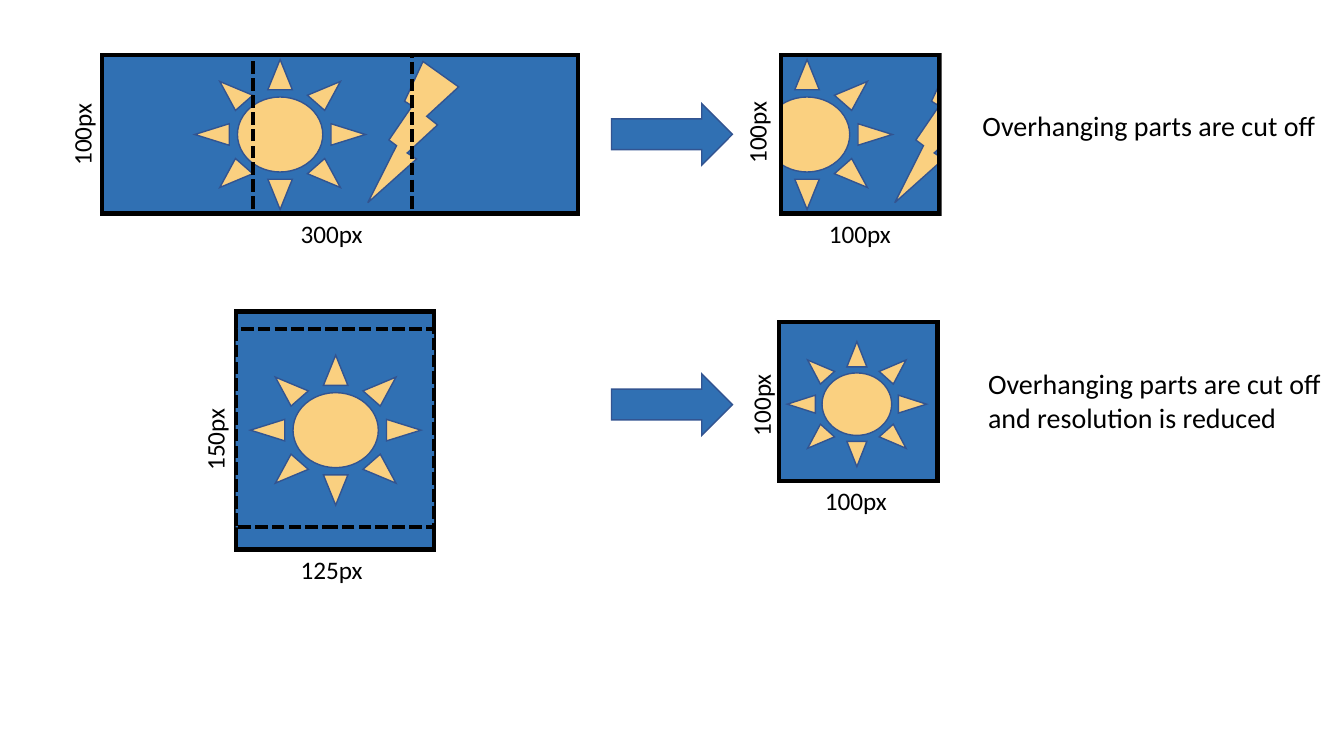
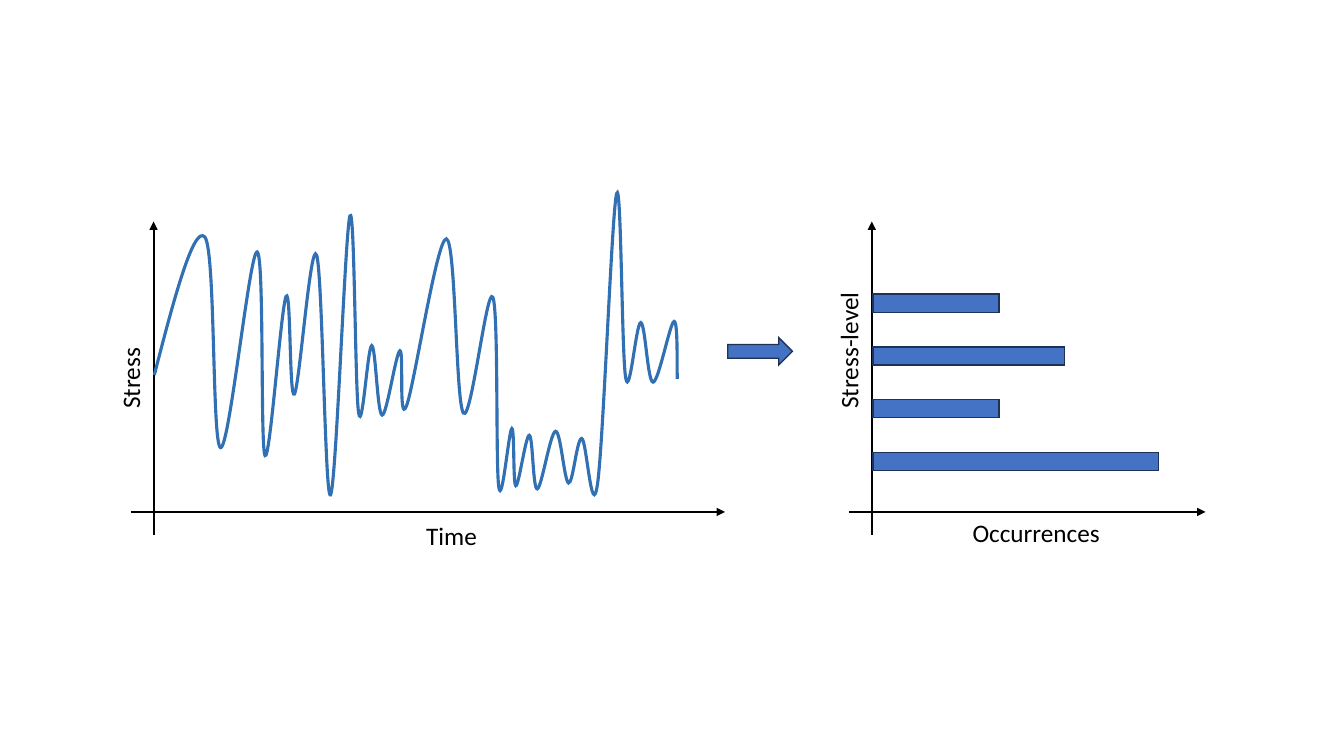
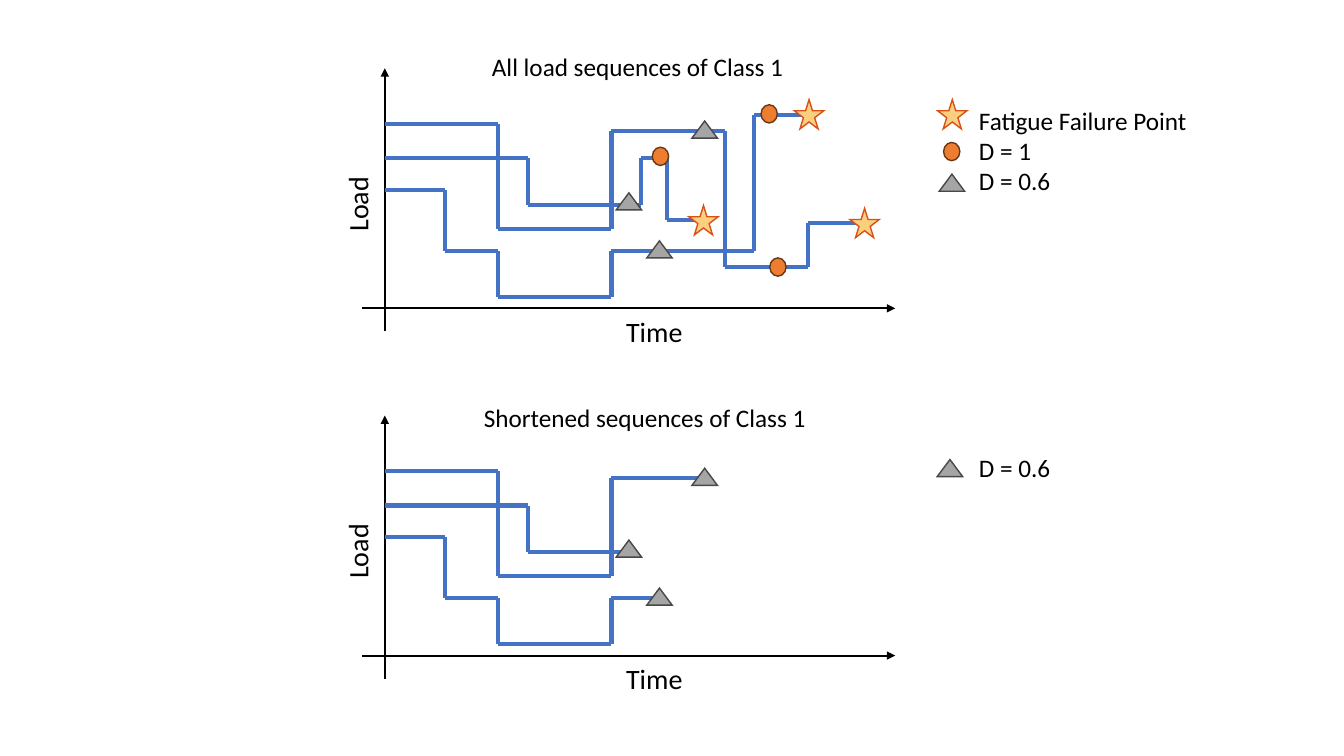
import pptx
import pptx.dml.color
import pptx.enum.dml
import pptx.enum.shapes
import pptx.enum.text
import pptx.oxml.ns
import pptx.util
from lxml import etree

SHAPE = pptx.enum.shapes.MSO_SHAPE
ALIGN = pptx.enum.text.PP_ALIGN
DASHED = pptx.enum.dml.MSO_LINE.SQUARE_DOT

BLACK, WHITE = "000000", "FFFFFF"
BLUE, SERIES_BLUE = "3070B3", "4472C4"

# fill, line colour, line width in points
PANEL = (BLUE, BLACK, 3)
OUTLINE = (None, BLACK, 3)
MASK = (WHITE, None, 0)
SUNLIGHT = ("FAD080", "325491", 1)
CROP_ARROW = (BLUE, "325491", 1)
BAR = (SERIES_BLUE, "1E3256", 1)

# preset, width, height, style
FAILURE = (SHAPE.STAR_5_POINT, 0.74, 0.74, ("FAD080", "D95117", 1))
DAMAGE_FULL = (SHAPE.OVAL, 0.41, 0.46, ("ED7D31", "683715", 1))
DAMAGE_PART = (SHAPE.ISOSCELES_TRIANGLE, 0.64, 0.43, ("A5A5A5", "484848", 1))

AXIS_OVERSHOOT = 0.58
LABEL_H = 1.02

STRESS_TURNS = [
    (3.89, 9.45), (5.16, 5.97), (5.56, 11.28), (6.48, 6.35), (6.68, 11.48),
    (7.21, 7.47), (7.42, 9.93), (7.98, 6.43), (8.33, 12.47), (8.82, 5.44),
    (9.04, 10.41), (9.37, 8.71), (9.63, 10.46), (10.08, 8.84), (10.24, 10.24),
    (11.25, 6.02), (11.68, 10.41), (12.42, 7.49), (12.57, 12.27), (12.9, 10.8),
    (13, 12.24), (13.34, 10.97), (13.54, 12.32), (14, 10.87), (14.33, 12.17),
    (14.66, 11.05), (15.06, 12.19), (15.54, 4.88), (15.77, 9.53),
    (16.15, 8.13), (16.46, 9.63), (16.99, 8.1), (17.07, 9.55),
]
STRESS_LEAD_IN = (2.26, 17.25)

# Each load level is held until the end time beside it.
LOAD_SEQUENCES = [
    [(3.12, 12.55), (5.77, 15.41), (3.3, 18.27), (6.73, 20.37), (5.61, 21.82)],
    [(3.99, 13.31), (5.16, 16.15), (3.99, 16.81), (5.54, 17.68)],
    [(4.78, 11.22), (6.32, 12.55), (7.48, 15.41), (6.32, 19.01), (2.9, 20.32)],
]
SHORTENED_ENDS = [17.77, 15.86, 16.62]
DAMAGE_PART_SPOTS = [(17.44, 3.05), (15.53, 4.86), (16.3, 6.07)]


def cm(*values):
    return [pptx.util.Cm(v) for v in values]


def rgb(color):
    return pptx.dml.color.RGBColor.from_string(color)


def tag(name):
    return pptx.oxml.ns.qn(name)


def set_line(sp, color, width, dash=None):
    if color is None:
        sp.line.fill.background()
        return
    sp.line.color.rgb = rgb(color)
    for name, value in {"width": pptx.util.Pt(width), "dash_style": dash}.items():
        setattr(sp.line, name, value)
    etree.SubElement(sp.element.spPr.find(tag("a:ln")), tag("a:miter"), lim="800000")


def style_shape(sp, style, dash=None):
    fill, color, width = style
    sp.shadow.inherit = False
    if fill is None:
        sp.fill.background()
    else:
        sp.fill.solid()
        sp.fill.fore_color.rgb = rgb(fill)
    set_line(sp, color, width, dash)


def add_preset(s, kind, x, y, w, h, style, dash=None):
    sp = s.shapes.add_shape(kind, *cm(x, y, w, h))
    style_shape(sp, style, dash)
    return sp


def add_marker(s, marker, x, y):
    kind, w, h, style = marker
    add_preset(s, kind, x, y, w, h, style)


def add_text(s, lines, x, y, w, h=LABEL_H, size=18, wrap=True, align=None, rotation=0):
    sp = s.shapes.add_textbox(*cm(x, y, w, h))
    sp.rotation = rotation
    tf = sp.text_frame
    tf.word_wrap = wrap
    tf.auto_size = pptx.enum.text.MSO_AUTO_SIZE.SHAPE_TO_FIT_TEXT
    for i, text in enumerate(lines):
        p = tf.add_paragraph() if i else tf.paragraphs[0]
        p.alignment = align
        r = p.add_run()
        r.text = text
        for name, value in {"name": "Calibri", "size": pptx.util.Pt(size)}.items():
            setattr(r.font, name, value)
        r.font.color.rgb = rgb(BLACK)


def add_line(s, x1, y1, x2, y2, color, width, arrow=False):
    c = s.shapes.add_connector(
        pptx.enum.shapes.MSO_CONNECTOR.STRAIGHT, *cm(x1, y1, x2, y2))
    set_line(c, color, width)
    spPr = c.element.spPr
    if arrow:
        etree.SubElement(spPr.find(tag("a:ln")), tag("a:tailEnd"), type="triangle")
    etree.SubElement(spPr, tag("a:effectLst"))


def add_axes(s, x, y, top, right):
    """Draw two arrows that cross at x, y."""
    add_line(s, x, y + AXIS_OVERSHOOT, x, top, BLACK, 1.5, arrow=True)
    add_line(s, x - AXIS_OVERSHOOT, y, right, y, BLACK, 1.5, arrow=True)


def add_curve(s, turns, lead_in, color, width):
    """Draw a Catmull-Rom curve, one Bezier segment between two turns."""
    points = [tuple(cm(*point)) for point in turns]
    builder = s.shapes.build_freeform(*points[0])
    builder.add_line_segments(points[1:], close=False)
    sp = builder.convert_to_shape()
    style_shape(sp, (None, color, width))

    padded = [tuple(cm(*lead_in)), *points, points[-1]]
    segments = list(sp.element.iter(tag("a:lnTo")))
    for segment, a, b, c, d in zip(segments, padded, padded[1:], padded[2:], padded[3:]):
        leave = [q + (r - p) / 6 for p, q, r in zip(a, b, c)]
        arrive = [q - (r - p) / 6 for p, q, r in zip(b, c, d)]
        bezier = etree.Element(tag("a:cubicBezTo"))
        for x, y in (leave, arrive, c):
            etree.SubElement(bezier, tag("a:pt"),
                             x=str(round(x - sp.left)), y=str(round(y - sp.top)))
        segment.getparent().replace(segment, bezier)


def add_load_steps(s, x, sequence, dy=0, stop=None):
    """Draw a stepped load history, ended early at stop if one is given."""
    previous = None
    for level, end in sequence:
        y = level + dy
        if previous is not None:
            add_line(s, x, previous, x, y, SERIES_BLUE, 3)
        last = stop is not None and end >= stop
        if last:
            end = stop
        add_line(s, x, y, end, y, SERIES_BLUE, 3)
        if last:
            return
        x, previous = end, y


def add_sun(s, x, y, w=4.3, h=3.78):
    add_preset(s, SHAPE.SUN, x, y, w, h, SUNLIGHT)


def add_sun_and_bolt(s, x):
    add_sun(s, x, 1.5)
    bolt = add_preset(s, SHAPE.LIGHTNING_BOLT, x + 4.36, 1.55, 2.29, 3.56, SUNLIGHT)
    bolt.element.spPr.find(tag("a:xfrm")).set("flipH", "1")


def build_cropping(s):
    side, top = 4, 1.38
    rect = SHAPE.RECTANGLE
    # Wide image and its crop
    add_preset(s, rect, 2.57, top, 12, side, PANEL)
    add_sun_and_bolt(s, 4.91)
    add_preset(s, rect, 6.38, top, side, side, OUTLINE, DASHED)
    add_preset(s, rect, 19.68, top, side, side, PANEL)
    add_sun_and_bolt(s, 18.19)
    add_preset(s, rect, 19.68, top, side, side, OUTLINE)
    for x in (17.62, 23.73):
        add_preset(s, rect, x, 0.76, 2.01, 5.05, MASK)
    # Tall image and its reduced crop
    add_preset(s, rect, 5.94, 7.85, 5, 6, PANEL)
    add_preset(s, rect, 5.94, 8.29, 5, 5, PANEL, DASHED)
    add_sun(s, 6.31, 8.95)
    add_preset(s, rect, 19.63, 8.12, side, side, PANEL)
    add_sun(s, 19.84, 8.61, 3.51, 3.15)

    for y in (2.61, 9.42):
        add_preset(s, SHAPE.RIGHT_ARROW, 15.41, y, 3.05, 1.55, CROP_ARROW)
    for text, x, y, rotation in [
        ("300px", 7.33, 5.38, 0), ("100px", 1.02, 2.87, 270),
        ("100px", 20.64, 5.38, 0), ("100px", 18.03, 2.82, 270),
        ("125px", 7.33, 13.84, 0), ("150px", 4.37, 10.56, 270),
        ("100px", 20.54, 12.11, 0), ("100px", 18.14, 9.69, 270),
    ]:
        add_text(s, [text], x, y, 2.08, wrap=False, rotation=rotation)
    cut = "Overhanging parts are cut off"
    add_text(s, [cut], 24.51, 2.62, 8.99, 1.11, size=20, wrap=False)
    add_text(s, [cut, "and resolution is reduced"], 24.65, 9.11, 8.99, 1.97,
             size=20, wrap=False)


def build_stress_counting(s):
    add_axes(s, 3.87, 12.9, 5.58, 18.27)
    add_text(s, ["Stress"], 1.86, 8.62, 2.84, rotation=270)
    add_text(s, ["Time"], 10.49, 12.98, 2.26)
    add_axes(s, 21.97, 12.9, 5.58, 30.38)
    add_text(s, ["Stress-level"], 18.97, 7.62, 4.83, rotation=270)
    add_text(s, ["Occurrences"], 24.26, 12.92, 5.66)
    for i, w in enumerate([3.18, 4.83, 3.18, 7.2]):
        add_preset(s, SHAPE.RECTANGLE, 22, 7.41 + 1.33 * i, w, 0.46, BAR)
    add_preset(s, SHAPE.RIGHT_ARROW, 18.34, 8.51, 1.63, 0.69, BAR)
    add_curve(s, STRESS_TURNS, STRESS_LEAD_IN, BLUE, 2.25)


def add_load_plot(s, title, title_x, title_y, dy=0, stops=(None, None, None)):
    x = 9.7
    add_axes(s, x, 7.77 + dy, 1.72 + dy, 22.56)
    add_text(s, ["Load"], 6.38, 4.59 + dy, 5.26, 1.11, size=20,
             align=ALIGN.CENTER, rotation=270)
    add_text(s, ["Time"], 15.36, 7.8 + dy, 2.26, 1.11, size=20, align=ALIGN.CENTER)
    add_text(s, [title], title_x, title_y, 13, align=ALIGN.CENTER)
    for sequence, stop in zip(LOAD_SEQUENCES, stops):
        add_load_steps(s, x, sequence, dy, stop)
    for spot_x, spot_y in DAMAGE_PART_SPOTS:
        add_marker(s, DAMAGE_PART, spot_x, spot_y + dy)


def build_load_sequences(s):
    add_load_plot(s, "All load sequences of Class 1", 9.57, 1.17)
    add_load_plot(s, "Shortened sequences of Class 1", 9.75, 10.01,
                  dy=8.75, stops=SHORTENED_ENDS)
    # The last spot of each marker is its legend key.
    for marker, spots in [
        (FAILURE, [(20.02, 2.51), (17.36, 5.18), (21.42, 5.25), (23.63, 2.51)]),
        (DAMAGE_FULL, [(19.4, 6.5), (19.18, 2.64), (16.44, 3.71), (23.78, 3.59)]),
        (DAMAGE_PART, [(23.62, 11.58), (23.67, 4.39)]),
    ]:
        for x, y in spots:
            add_marker(s, marker, x, y)
    add_text(s, ["Fatigue Failure Point", "D = 1", "D = 0.6"],
             24.42, 2.52, 5.82, 2.57, wrap=False)
    add_text(s, ["D = 0.6"], 24.42, 11.28, 2.34, wrap=False)


def main():
    prs = pptx.Presentation()
    prs.slide_width, prs.slide_height = cm(33.87, 19.05)
    for build in (build_cropping, build_stress_counting, build_load_sequences):
        build(prs.slides.add_slide(prs.slide_layouts[6]))
    prs.save("out.pptx")


if __name__ == "__main__":
    main()
